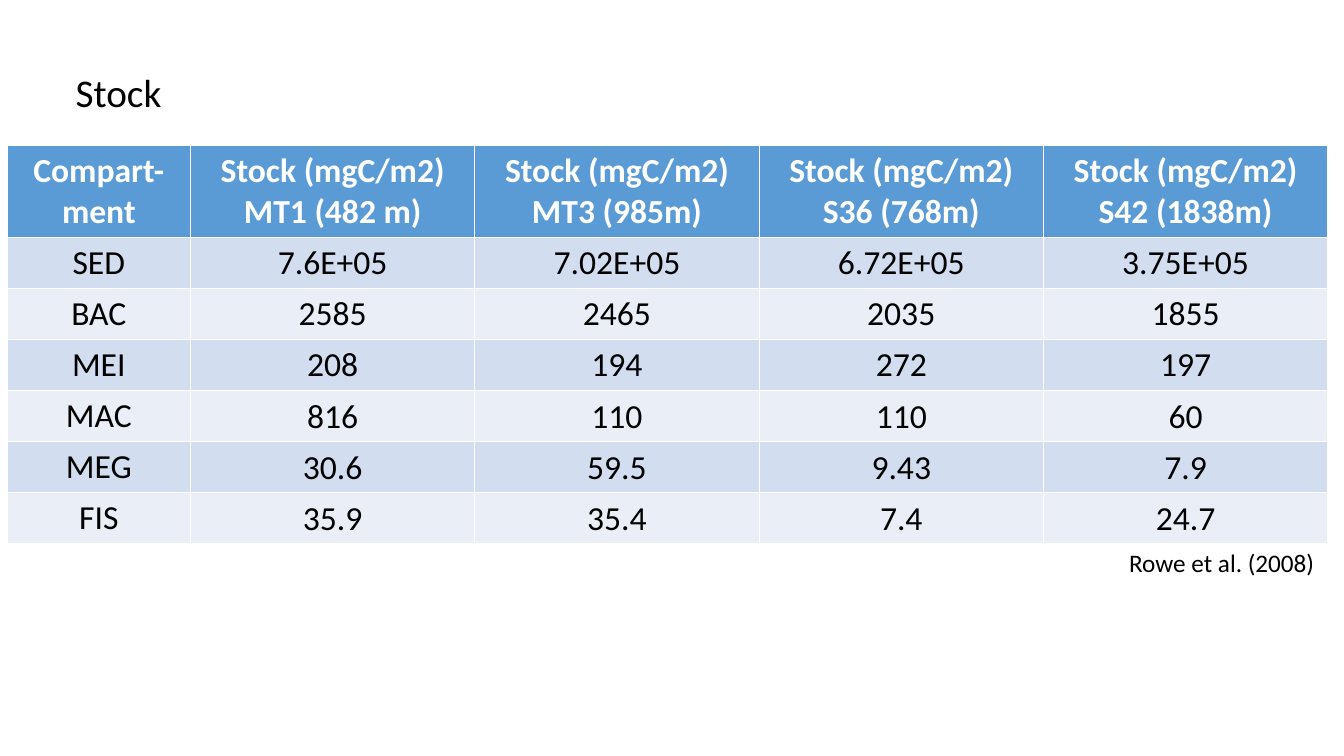
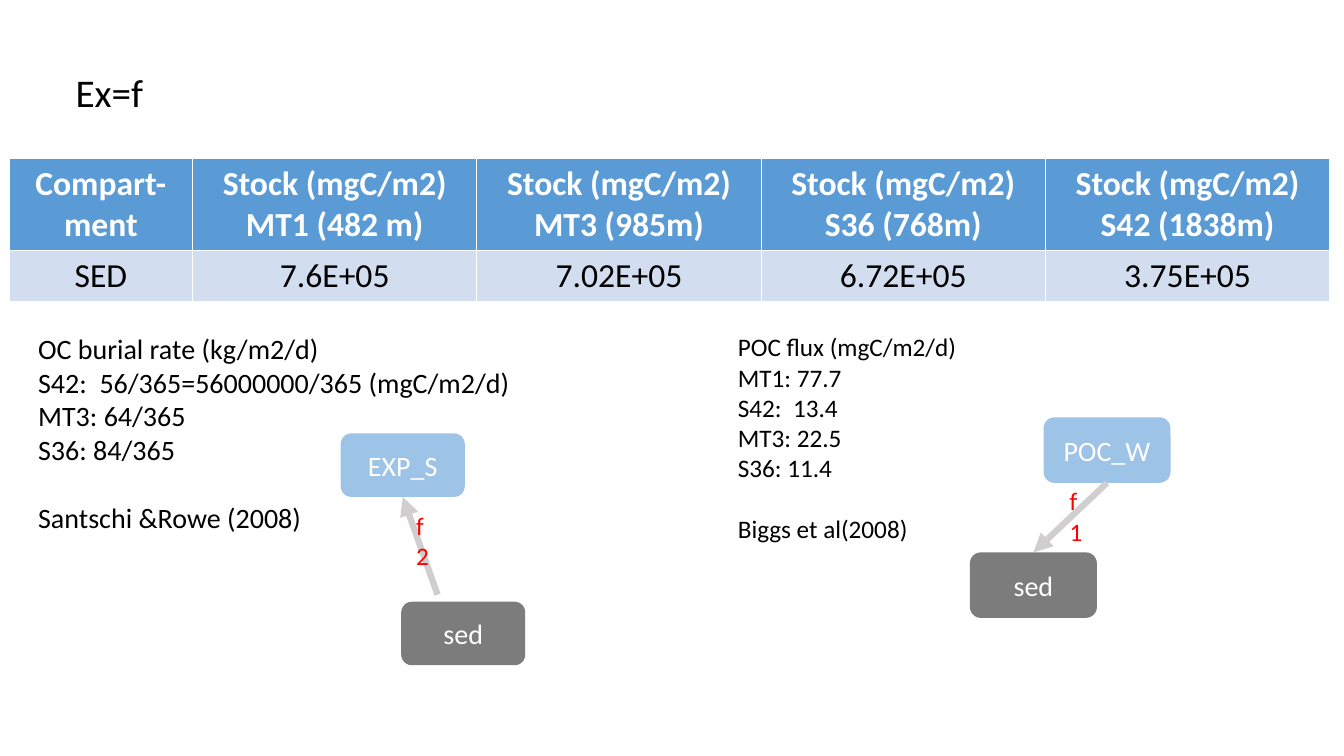
"""Build two slides on sediment carbon stocks and fluxes."""
import dataclasses

import pptx
import pptx.dml.color
import pptx.enum.shapes
import pptx.enum.text
import pptx.oxml
import pptx.oxml.ns
import pptx.util

PX = 9144
ALIGN = pptx.enum.text.PP_ALIGN
ANCHOR = pptx.enum.text.MSO_ANCHOR
KIND = pptx.enum.shapes.MSO_SHAPE
STRAIGHT = pptx.enum.shapes.MSO_CONNECTOR.STRAIGHT


@dataclasses.dataclass(frozen=True)
class Theme:
    font: str = "Calibri"
    ink: str = "000000"
    paper: str = "FFFFFF"
    header: str = "5B9BD5"
    bands: tuple = ("D2DEEF", "EAEFF7")
    pool: str = "9DC3E6"
    sediment: str = "7C7C7C"
    arrow: str = "D0CECE"
    flux: str = "FF0000"
    title_size: int = 28
    table_size: int = 24
    text_size: int = 20
    small_size: int = 18


theme = Theme()


def px(*lengths):
    return [pptx.util.Emu(length * PX) for length in lengths]


def write(frame, lines, size=theme.text_size, color=theme.ink, bold=False,
          align=ALIGN.LEFT, anchor=ANCHOR.TOP, last_gap=0):
    frame.word_wrap = True
    frame.auto_size = pptx.enum.text.MSO_AUTO_SIZE.NONE
    frame.vertical_anchor = anchor
    frame.text = "\n".join(lines)
    for paragraph in frame.paragraphs:
        paragraph.alignment = align
        paragraph.font.name = theme.font
        paragraph.font.size = pptx.util.Pt(size)
        paragraph.font.bold = bold
        paragraph.font.color.rgb = pptx.dml.color.RGBColor.from_string(color)
    if last_gap:
        frame.paragraphs[-1].space_before = pptx.util.Pt(last_gap)


stations = ["MT1 (482 m)", "MT3 (985m)", "S36 (768m)", "S42 (1838m)"]
stocks = [
    ["SED", "7.6E+05", "7.02E+05", "6.72E+05", "3.75E+05"],
    ["BAC", "2585", "2465", "2035", "1855"],
    ["MEI", "208", "194", "272", "197"],
    ["MAC", "816", "110", "110", "60"],
    ["MEG", "30.6", "59.5", "9.43", "7.9"],
    ["FIS", "35.9", "35.4", "7.4", "24.7"],
]
header = [["Compart-ment"]] + [["Stock (mgC/m2)", station] for station in stations]

deck = pptx.Presentation()
deck.slide_width, deck.slide_height = px(1333, 750)

stock_pages = [
    ("Stock", (7, 144), stocks),
    ("Ex=f", (9, 157), stocks[:1]),
]
for heading, (left, top), body in stock_pages:
    slide = deck.slides.add_slide(deck.slide_layouts[5])
    title = slide.shapes.title
    title.left, title.top, title.width, title.height = px(65, 63, 1200, 57)
    write(title.text_frame, [heading], size=theme.title_size)

    rows = [header] + [[[value] for value in row] for row in body]
    height = 89 + 50 * len(body)
    stock_table = slide.shapes.add_table(
        len(rows), len(header), *px(left, top, 1310, height)).table
    for index, column in enumerate(stock_table.columns):
        column.width = px(282 if index else 182)[0]
    for r, row in enumerate(rows):
        stock_table.rows[r].height = px(50 if r else 89)[0]
        for c, lines in enumerate(row):
            cell = stock_table.cell(r, c)
            fill = theme.bands[(r - 1) % 2] if r else theme.header
            cell.fill.solid()
            cell.fill.fore_color.rgb = pptx.dml.color.RGBColor.from_string(fill)
            write(cell.text_frame, lines, size=theme.table_size, bold=r == 0,
                  color=theme.ink if r else theme.paper, align=ALIGN.CENTER)
            if r and c:
                cell.vertical_anchor = ANCHOR.MIDDLE
                cell.margin_left = cell.margin_top = cell.margin_right = px(1)[0]
                cell.margin_bottom = 0

stock_slide, flux_slide = deck.slides

citation = stock_slide.shapes.add_textbox(*px(1110, 538, 212, 40))
write(citation.text_frame, ["Rowe et al. (2008)"], size=theme.small_size)

burial = ["OC burial rate (kg/m2/d)", "S42:  56/365=56000000/365 (mgC/m2/d)",
          "MT3: 64/365", "S36: 84/365", "Santschi &Rowe (2008)"]
poc_flux = ["POC flux (mgC/m2/d)", "MT1: 77.7", "S42:  13.4", "MT3: 22.5",
            "S36: 11.4", "Biggs et al(2008)"]
for lines, place, size, gap in [
    (burial, (28, 324, 510, 212), theme.text_size, 24.4),
    (poc_flux, (722, 324, 250, 222), theme.small_size, 22),
]:
    note = flux_slide.shapes.add_textbox(*px(*place))
    write(note.text_frame, lines, size=size, last_gap=gap)

flows = [
    dict(pool="EXP_S", pool_at=(338, 430), sed_at=(398, 597), box=(123, 63),
         start=(434, 590), end=(399, 493), flux="f2", flux_at=(403, 501),
         upward=True),
    dict(pool="POC_W", pool_at=(1035, 414), sed_at=(962, 548), box=(126, 65),
         start=(1098, 479), end=(1025, 548), flux="f1", flux_at=(1051, 477),
         upward=False),
]
for flow in flows:
    group = flux_slide.shapes.add_group_shape().shapes
    ends = []
    for label, place, fill in [
        ("sed", flow["sed_at"], theme.sediment),
        (flow["pool"], flow["pool_at"], theme.pool),
    ]:
        compartment = group.add_shape(
            KIND.ROUNDED_RECTANGLE, *px(*place, *flow["box"]))
        compartment.shadow.inherit = False
        compartment.fill.solid()
        compartment.fill.fore_color.rgb = pptx.dml.color.RGBColor.from_string(fill)
        compartment.line.fill.background()
        write(compartment.text_frame, [label], color=theme.paper,
              align=ALIGN.CENTER, anchor=ANCHOR.MIDDLE)
        ends.append(compartment)
    sediment, pool = ends

    arrow = group.add_connector(STRAIGHT, *px(*flow["start"], *flow["end"]))
    if flow["upward"]:
        arrow.end_connect(pool, 2)
    else:
        arrow.begin_connect(pool, 2)
        arrow.end_connect(sediment, 0)
    arrow.line.width = pptx.util.Pt(4.5)
    arrow.line.color.rgb = pptx.dml.color.RGBColor.from_string(theme.arrow)
    tip = pptx.oxml.parse_xml(
        f'<a:tailEnd {pptx.oxml.ns.nsdecls("a")} type="triangle"/>')
    arrow.line._get_or_add_ln().append(tip)
    arrow._element.spPr.append(pptx.oxml.parse_xml(
        f'<a:effectLst {pptx.oxml.ns.nsdecls("a")}/>'))

    flux = group.add_textbox(*px(*flow["flux_at"], 30, 30))
    write(flux.text_frame, [flow["flux"]], size=theme.small_size, color=theme.flux)

deck.save("out.pptx")
